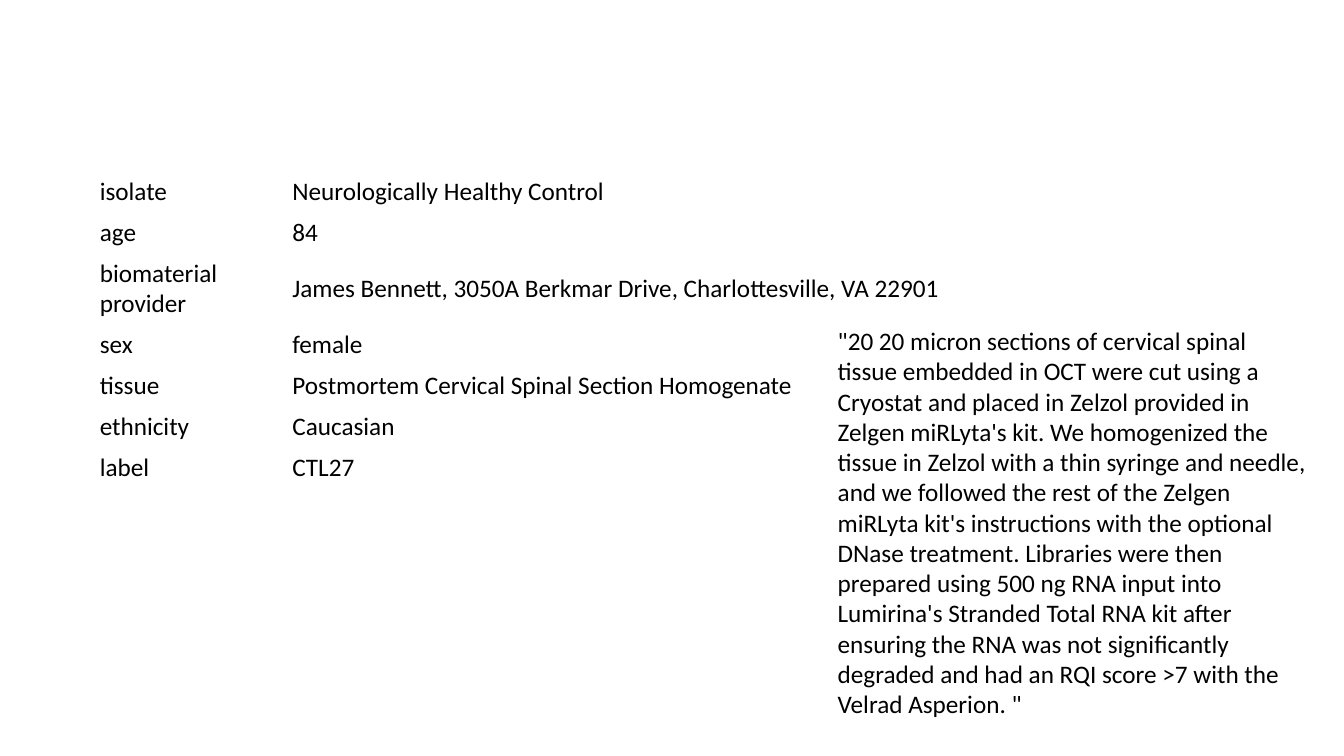
from pptx import Presentation
from pptx.dml.color import RGBColor
from pptx.enum.text import MSO_ANCHOR as Anchor, MSO_AUTO_SIZE as AutoSize
from pptx.util import Inches, Pt

SAMPLE = [
    ("isolate", "Neurologically Healthy Control"),
    ("age", "84"),
    ("biomaterial provider",
     "James Bennett, 3050A Berkmar Drive, Charlottesville, VA 22901"),
    ("sex", "female"),
    ("tissue", "Postmortem Cervical Spinal Section Homogenate"),
    ("ethnicity", "Caucasian"),
    ("label", "CTL27"),
]
PROTOCOL = (
    "\"20 20 micron sections of cervical spinal tissue embedded in OCT were cut "
    "using a Cryostat and placed in Zelzol provided in Zelgen miRLyta's kit. "
    "We homogenized the tissue in Zelzol with a thin syringe and needle, and we "
    "followed the rest of the Zelgen miRLyta kit's instructions with the optional "
    "DNase treatment. Libraries were then prepared using 500 ng RNA input into "
    "Lumirina's Stranded Total RNA kit after ensuring the RNA was not "
    "significantly degraded and had an RQI score >7 with the Velrad Asperion. \""
)


def color(value):
    return RGBColor.from_string(value)


class SlideBuilder:
    """Adds tables and text in one style to the current slide."""

    def __init__(self, page, font="Calibri", size=18, ink="000000", paper="FFFFFF"):
        self.page = page
        self.font, self.size = font, size
        self.ink, self.paper = ink, paper

    def set_text(self, frame, text):
        para = frame.paragraphs[0]
        para.text = text
        para.font.name = self.font
        para.font.size = Pt(self.size)
        para.font.color.rgb = color(self.ink)

    def table(self, rows, left, top, widths, row_height):
        table = self.page.shapes.add_table(
            len(rows), len(widths), Inches(left), Inches(top),
            Inches(sum(widths)), Inches(row_height * len(rows))).table
        table.first_row = table.horz_banding = False
        for column, width in zip(table.columns, widths):
            column.width = Inches(width)
        for row, texts in zip(table.rows, rows):
            for cell, text in zip(row.cells, texts):
                cell.fill.solid()
                cell.fill.fore_color.rgb = color(self.paper)
                cell.vertical_anchor = Anchor.MIDDLE
                self.set_text(cell.text_frame, text)

    def text(self, text, left, top, width, height):
        box = self.page.shapes.add_textbox(
            Inches(left), Inches(top), Inches(width), Inches(height))
        frame = box.text_frame
        frame.word_wrap = True
        frame.auto_size = AutoSize.SHAPE_TO_FIT_TEXT
        self.set_text(frame, text)


def main():
    deck = Presentation()
    deck.slide_width, deck.slide_height = Inches(13.33), Inches(7.5)
    builder = SlideBuilder(deck.slides.add_slide(deck.slide_layouts[6]))
    builder.table(SAMPLE, 0.89, 1.7, (1.91, 7.09), 0.4)
    builder.text(PROTOCOL, 8.21, 3.18, 4.88, 4.04)
    deck.save("out.pptx")


if __name__ == "__main__":
    main()
